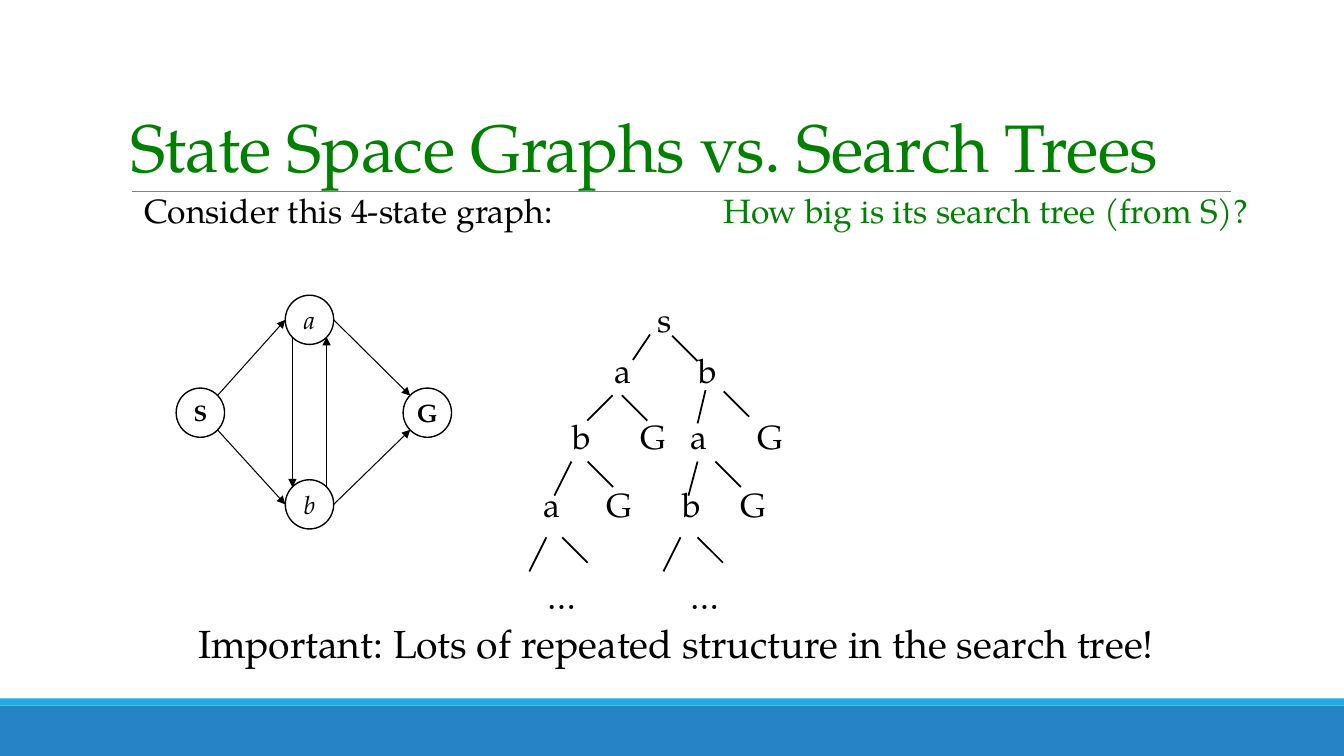
from lxml import etree
from pptx import Presentation
from pptx.dml.color import RGBColor
from pptx.enum.shapes import MSO_CONNECTOR, MSO_SHAPE
from pptx.enum.text import MSO_ANCHOR, MSO_AUTO_SIZE, PP_ALIGN
from pptx.oxml.ns import qn
from pptx.util import Cm, Pt

STRAIGHT = MSO_CONNECTOR.STRAIGHT
RECTANGLE = MSO_SHAPE.RECTANGLE
CIRCLE = MSO_SHAPE.FLOWCHART_CONNECTOR
MIDDLE, BOTTOM = MSO_ANCHOR.MIDDLE, MSO_ANCHOR.BOTTOM
LEFT, CENTER = PP_ALIGN.LEFT, PP_ALIGN.CENTER
FIT_SHAPE = MSO_AUTO_SIZE.SHAPE_TO_FIT_TEXT
FONT = "TeX Gyre Pagella"
BLACK = RGBColor(0x00, 0x00, 0x00)
GREEN = RGBColor(0x00, 0x80, 0x00)
GRAY = RGBColor(0x80, 0x80, 0x80)
BLUE = RGBColor(0x26, 0x83, 0xC6)
CYAN = RGBColor(0x1C, 0xAD, 0xE4)

deck = Presentation()
deck.slide_width, deck.slide_height = Cm(33.87), Cm(19.05)
page = deck.slides.add_slide(deck.slide_layouts[6])


def add_text(text, left, top, width, height, size, color=BLACK, align=LEFT, wrap=True):
    box = page.shapes.add_textbox(Cm(left), Cm(top), Cm(width), Cm(height))
    box.text_frame.word_wrap = wrap
    box.text_frame.auto_size = FIT_SHAPE
    para = box.text_frame.paragraphs[0]
    para.text = text
    para.alignment = align
    para.font.name, para.font.size = FONT, Pt(size)
    para.font.color.rgb = color
    return box


def add_line(start, end, weight, color=BLACK, arrow=False):
    line = page.shapes.add_connector(STRAIGHT, *map(Cm, start + end))
    line.line.color.rgb = color
    line.line.width = Pt(weight)
    if arrow:
        etree.SubElement(line.line._get_or_add_ln(), qn("a:tailEnd"), type="triangle")
    etree.SubElement(line._element.spPr, qn("a:effectLst"))


for top, height, color in [(17.78, 1.27, BLUE), (17.6, 0.18, CYAN)]:
    bar = page.shapes.add_shape(RECTANGLE, 0, Cm(top), deck.slide_width, Cm(height))
    bar.shadow.inherit = False
    bar.fill.solid()
    bar.fill.fore_color.rgb = color
    bar.line.fill.background()

add_line((3.33, 4.83), (31.01, 4.83), 0.5, GRAY)
title = add_text("State Space Graphs vs. Search Trees", 3.05, 0.79, 27.94, 4.04, 48, GREEN)
title.text_frame.auto_size = MSO_AUTO_SIZE.NONE
title.text_frame.vertical_anchor = BOTTOM
title_para = title.text_frame.paragraphs[0]
title_para.line_spacing = 0.85
title_para.runs[0]._r.get_or_add_rPr().set("spc", "-50")

node_width, node_height = 1.22, 1.24
states = {"S": (5.05, 10.4), "G": (10.77, 10.4), "b": (7.8, 12.71), "a": (7.8, 8.06)}
for name, (x, y) in states.items():
    node = page.shapes.add_shape(
        CIRCLE, Cm(x - node_width / 2), Cm(y - node_height / 2), Cm(node_width), Cm(node_height))
    node.shadow.inherit = False
    node.fill.background()
    node.line.color.rgb = BLACK
    node.line.width = Pt(1)
    node.text_frame.word_wrap = False
    node.text_frame.vertical_anchor = MIDDLE
    para = node.text_frame.paragraphs[0]
    para.text = name
    para.alignment = CENTER
    para.font.name, para.font.size = FONT, Pt(16 if name == "S" else 18)
    para.font.bold, para.font.italic = name.isupper(), name.islower()
    para.font.color.rgb = BLACK

side, diagonal = node_width / 2, 0.43
rim = {
    "left": (-side, 0), "right": (side, 0),
    "top left": (-diagonal, -diagonal), "top right": (diagonal, -diagonal),
    "bottom left": (-diagonal, diagonal), "bottom right": (diagonal, diagonal),
}
edges = [
    ("S", "bottom right", "b", "left"),
    ("a", "bottom left", "b", "top left"),
    ("b", "top right", "a", "bottom right"),
    ("a", "right", "G", "top left"),
    ("b", "right", "G", "bottom left"),
    ("S", "top right", "a", "left"),
]
for source, exit_side, target, entry_side in edges:
    start, end = (
        tuple(centre + offset for centre, offset in zip(states[name], rim[place]))
        for name, place in [(source, exit_side), (target, entry_side)])
    add_line(start, end, 0.75, arrow=True)

add_text("Consider this 4-state graph:", 3.38, 4.65, 13, 1.27, 24)
add_text("Important: Lots of repeated structure in the search tree!",
         0.1, 15.47, 33.87, 1.45, 28, align=CENTER)
add_text("How big is its search tree (from S)?", 17.98, 4.65, 14.17, 1.27, 24, GREEN)

label_widths = {"s": 0.86, "a": 0.94, "b": 0.99, "G": 1.17, "…": 1.37}
tree_levels = [
    (7.42, [("s", 16.31)]),
    (8.69, [("a", 15.24), ("b", 17.35)]),
    (10.36, [("b", 14.17), ("G", 15.88), ("a", 17.15), ("G", 18.85)]),
    (12.07, [("a", 13.46), ("G", 15.04), ("b", 16.94), ("G", 18.42)]),
    (14.39, [("…", 13.54), ("…", 17.15)]),
]
for top, labels in tree_levels:
    for label, left in labels:
        add_text(label, left, top, label_widths[label], 1.27, 24, wrap=False)

right_branches = [(16.94, 8.46), (15.67, 9.96), (18.24, 9.86), (14.81, 11.63),
                  (18.03, 11.63), (14.17, 13.54), (17.58, 13.54)]
left_branches = [
    (16.38, 8.43, 0.43, 0.64), (15.44, 9.96, 0.64, 0.64), (17.78, 9.83, 0.2, 0.84),
    (14.4, 11.63, 0.43, 0.86), (17.58, 11.63, 0.23, 0.86),
    (13.77, 13.54, 0.43, 0.86), (17.15, 13.54, 0.43, 0.86),
]
for x, y in right_branches:
    add_line((x, y), (x + 0.64, y + 0.64), 1.25)
for x, y, run, drop in left_branches:
    add_line((x, y), (x - run, y + drop), 1.25)

deck.save("out.pptx")
